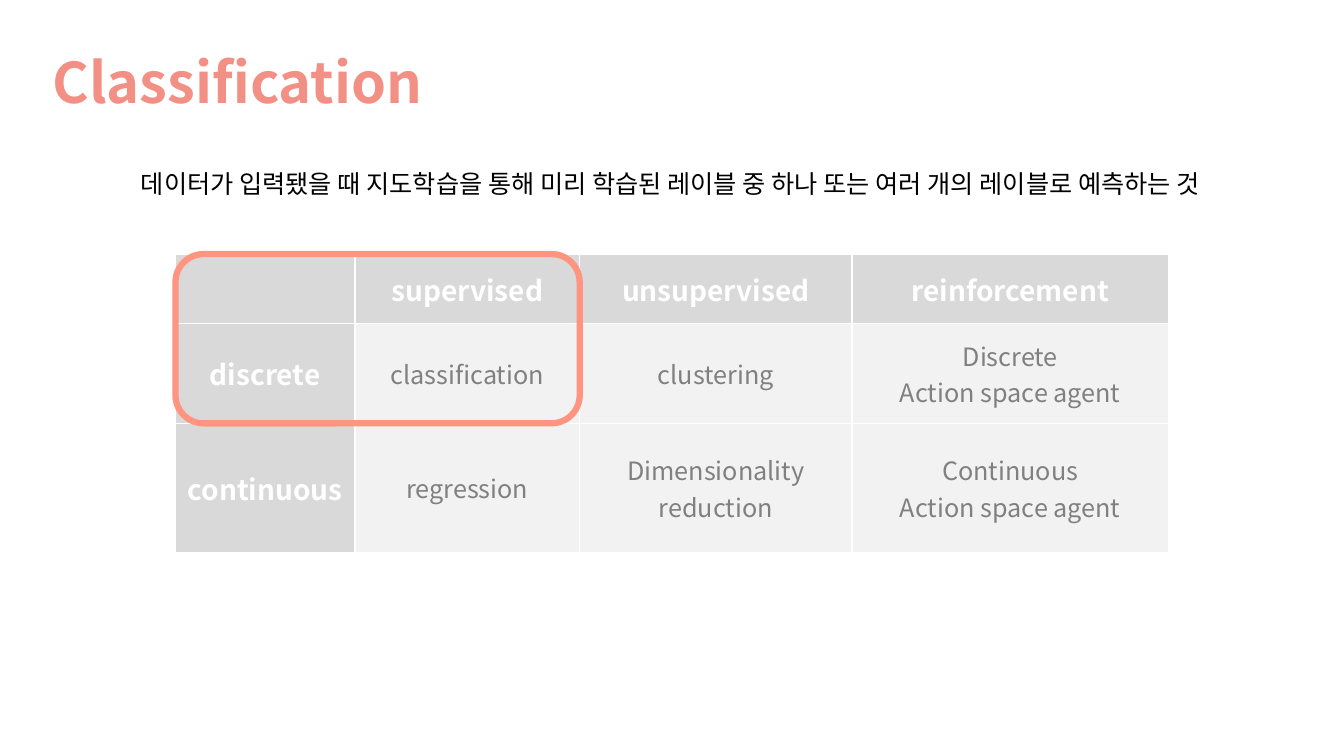
from lxml import etree
from pptx import Presentation, util as u
from pptx.dml.color import RGBColor
from pptx.enum import shapes, text
from pptx.oxml import ns

C = {"title": "F29085", "ring": "FF9581", "head": "D9D9D9", "cell": "F2F2F2",
     "grey": "808080", "white": "FFFFFF", "black": "000000"}
FONT = "Noto Sans CJK KR"
COLS = [1.78, 2.23, 2.7, 3.14]
ROWS = [0.69, 0.99, 1.28]
LEFT, TOP = 1.74, 2.52
CELLS = [
    ["", "supervised", "unsupervised", "reinforcement"],
    ["discrete", "classification", "clustering", "Discrete\nAction space agent"],
    ["continuous", "regression", "Dimensionality\nreduction",
     "Continuous\nAction space agent"],
]


def style(tf, size, color, bold=False, align=text.PP_ALIGN.LEFT):
    for p in tf.paragraphs:
        p.alignment = align
        for r in p.runs:
            r.font.name = FONT
            r.font.size = u.Pt(size)
            r.font.bold = bold
            r.font.color.rgb = RGBColor.from_string(C[color])


def borders(cell):
    tcPr = cell._tc.get_or_add_tcPr()
    for i, side in enumerate(("lnL", "lnR", "lnT", "lnB")):
        ln = etree.Element(ns.qn("a:" + side), w=str(u.Pt(1)))
        fill = etree.SubElement(ln, ns.qn("a:solidFill"))
        etree.SubElement(fill, ns.qn("a:srgbClr"), val=C["white"])
        tcPr.insert(i, ln)


prs = Presentation()
prs.slide_width, prs.slide_height = u.Inches(13.33), u.Inches(7.5)
s = prs.slides.add_slide(prs.slide_layouts[5])

sp = s.shapes.title
sp.left, sp.top, sp.width, sp.height = map(u.Inches, (0.42, 0.5, 4.43, 1.17))
tf = sp.text_frame
tf.text = "Classification"
tf.auto_size = text.MSO_AUTO_SIZE.NONE
tf.vertical_anchor = text.MSO_ANCHOR.TOP
tf.paragraphs[0].line_spacing = 0.9
style(tf, 40, "title", True)

tbl = s.shapes.add_table(len(ROWS), len(COLS), u.Inches(LEFT), u.Inches(TOP),
                         u.Inches(sum(COLS)), u.Inches(sum(ROWS))).table
for col, w in zip(tbl.columns, COLS):
    col.width = u.Inches(w)
for i, (h, row) in enumerate(zip(ROWS, CELLS)):
    tbl.rows[i].height = u.Inches(h)
    for j, label in enumerate(row):
        cell = tbl.cell(i, j)
        head = i == 0 or j == 0
        cell.text_frame.text = label
        cell.vertical_anchor = text.MSO_ANCHOR.MIDDLE
        cell.fill.solid()
        cell.fill.fore_color.rgb = RGBColor.from_string(C["head" if head else "cell"])
        borders(cell)
        style(cell.text_frame, 20 if head else 18, "white" if head else "grey",
              head, text.PP_ALIGN.CENTER)

sp = s.shapes.add_shape(shapes.MSO_SHAPE.ROUNDED_RECTANGLE, u.Inches(LEFT), u.Inches(TOP),
                        u.Inches(sum(COLS[:2])), u.Inches(sum(ROWS[:2])))
sp.shadow.inherit = False
sp.fill.background()
sp.line.color.rgb = RGBColor.from_string(C["ring"])
sp.line.width = u.Pt(4.5)

sp = s.shapes.add_textbox(*map(u.Inches, (1.3, 1.62, 10.73, 0.4)))
tf = sp.text_frame
tf.word_wrap = True
tf.text = "데이터가 입력됐을 때 지도학습을 통해 미리 학습된 레이블 중 하나 또는 여러 개의 레이블로 예측하는 것"
style(tf, 18, "black")

prs.save("out.pptx")
